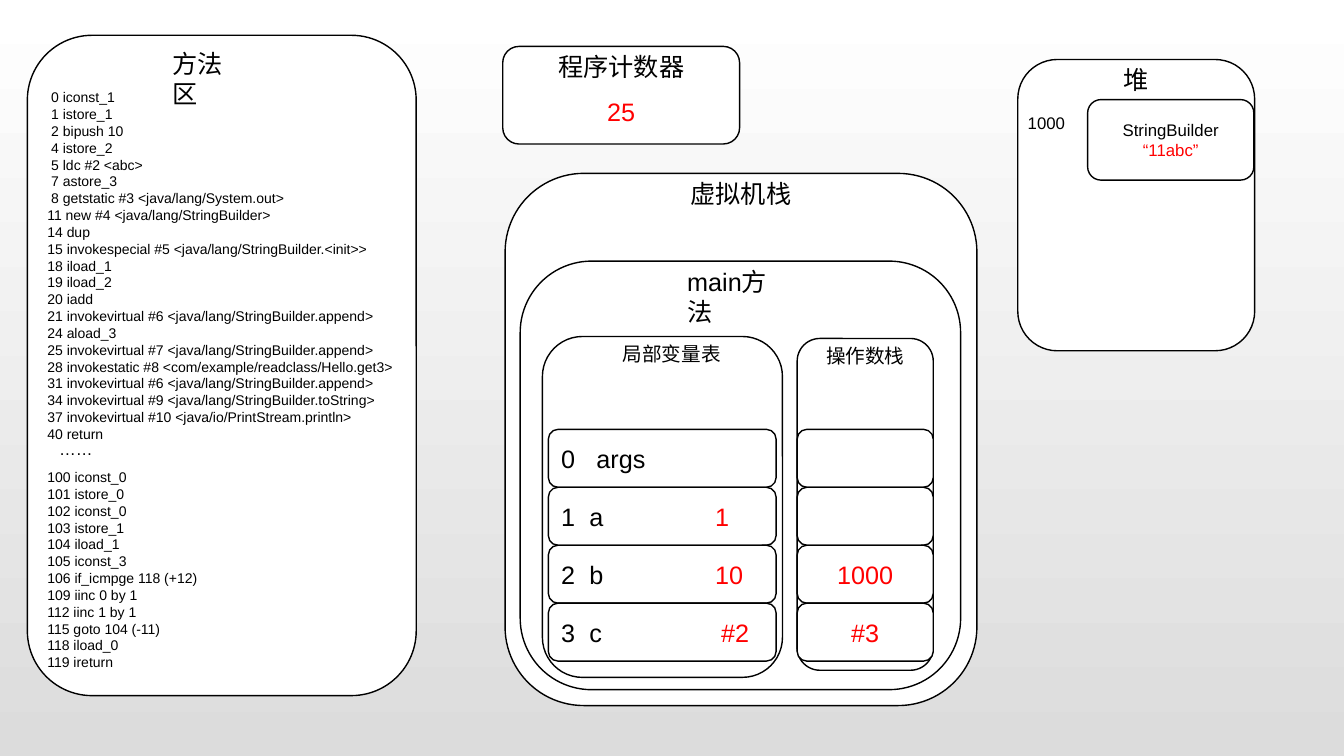
from dataclasses import dataclass

from lxml.etree import SubElement
from pptx import Presentation
from pptx.dml.color import RGBColor
from pptx.enum.shapes import MSO_SHAPE
from pptx.enum.text import MSO_ANCHOR, MSO_AUTO_SIZE, PP_ALIGN
from pptx.oxml.ns import qn
from pptx.util import Cm, Pt


@dataclass(frozen=True)
class Theme:
    black: RGBColor = RGBColor(0, 0, 0)
    red: RGBColor = RGBColor(255, 0, 0)
    white: RGBColor = RGBColor(255, 255, 255)
    shade: RGBColor = RGBColor(220, 220, 220)
    font: str = "Arial"
    heading: int = 18
    subheading: int = 14
    note: int = 12
    code: int = 10


theme = Theme()

MAIN_CODE = """ 0 iconst_1
 1 istore_1
 2 bipush 10
 4 istore_2
 5 ldc #2 <abc>
 7 astore_3
 8 getstatic #3 <java/lang/System.out>
11 new #4 <java/lang/StringBuilder>
14 dup
15 invokespecial #5 <java/lang/StringBuilder.<init>>
18 iload_1
19 iload_2
20 iadd
21 invokevirtual #6 <java/lang/StringBuilder.append>
24 aload_3
25 invokevirtual #7 <java/lang/StringBuilder.append>
28 invokestatic #8 <com/example/readclass/Hello.get3>
31 invokevirtual #6 <java/lang/StringBuilder.append>
34 invokevirtual #9 <java/lang/StringBuilder.toString>
37 invokevirtual #10 <java/io/PrintStream.println>
40 return"""

GET3_CODE = """100 iconst_0
101 istore_0
102 iconst_0
103 istore_1
104 iload_1
105 iconst_3
106 if_icmpge 118 (+12)
109 iinc 0 by 1
112 iinc 1 by 1
115 goto 104 (-11)
118 iload_0
119 ireturn"""


def add_panel(page, left, top, width, height):
    panel = page.shapes.add_shape(
        MSO_SHAPE.ROUNDED_RECTANGLE, Cm(left), Cm(top), Cm(width), Cm(height)
    )
    panel.shadow.inherit = False
    panel.fill.solid()
    panel.fill.fore_color.rgb = theme.white
    panel.line.color.rgb = theme.black
    panel.line.width = Pt(1)
    return panel


def write(box, lines, size, align=PP_ALIGN.LEFT, anchor=MSO_ANCHOR.TOP, wrap=True):
    frame = box.text_frame
    frame.word_wrap = wrap
    frame.auto_size = MSO_AUTO_SIZE.NONE
    frame.vertical_anchor = anchor
    for index, spans in enumerate(lines):
        para = frame.add_paragraph() if index else frame.paragraphs[0]
        para.alignment = align
        para.space_before = Pt(0)
        for text, color in spans:
            span = para.add_run()
            span.text = text
            span.font.name = theme.font
            span.font.size = Pt(size)
            span.font.color.rgb = color


deck = Presentation()
deck.slide_width, deck.slide_height = Cm(33.87), Cm(19.05)
page = deck.slides.add_slide(deck.slide_layouts.get_by_name("Two Content"))

background = page.background.fill
background.gradient()
background.gradient_angle = 270
for stop, color in zip(background.gradient_stops, (theme.white, theme.shade)):
    stop.color.rgb = color

add_panel(page, 0.69, 0.89, 9.8, 16.64)

title, main_listing, get3_listing = list(page.placeholders)[:3]
for box, left, top, width, height in (
    (title, 4.09, 1.09, 2.41, 1.02),
    (main_listing, 0.94, 2.11, 9.25, 9.22),
    (get3_listing, 0.94, 11.68, 4.32, 5.38),
):
    box.left, box.top, box.width, box.height = Cm(left), Cm(top), Cm(width), Cm(height)
    page.shapes.element.append(box.element)

write(title, [[("方法区", theme.black)]], theme.heading, wrap=False)
for box, code, wrap in ((main_listing, MAIN_CODE, True), (get3_listing, GET3_CODE, False)):
    lines = [[(line, theme.black)] for line in code.split("\n")]
    write(box, lines, theme.code, wrap=wrap)
    for para in box.text_frame.paragraphs:
        properties = para._p.get_or_add_pPr()
        properties.set("marL", "0")
        properties.set("indent", "0")
        SubElement(properties, qn("a:buNone"))

counter = add_panel(page, 12.67, 1.17, 5.97, 2.46)
write(counter, [[("25", theme.red)]], theme.heading, PP_ALIGN.CENTER, MSO_ANCHOR.BOTTOM)
counter.text_frame.margin_bottom = Cm(0.33)

for area in (
    (12.73, 4.37, 11.89, 13.41),
    (13.11, 6.58, 11.1, 10.8),
    (13.67, 8.48, 6.05, 8.59),
    (20.09, 8.53, 3.43, 8.36),
    (25.65, 1.5, 5.97, 7.34),
):
    add_panel(page, *area)

slots = (
    ("0", "args", "", 0.89, 3.88, ""),
    ("1", "a", "1", 0.71, 3.88, ""),
    ("2", "b", "10", 0.71, 3.88, "1000"),
    ("3", "c", "#2", 0.71, 4.03, "#3"),
)
for row, (number, name, value, name_tab, value_tab, operand) in enumerate(slots):
    top = 10.82 + row * 1.46
    variable = add_panel(page, 13.82, top, 5.74, 1.46)
    spans = [(f"{number}\t{name}", theme.black)]
    if value:
        spans.append((f"\t{value}", theme.red))
    write(variable, [spans], theme.heading, anchor=MSO_ANCHOR.MIDDLE)
    properties = variable.text_frame.paragraphs[0]._p.get_or_add_pPr()
    tabs = SubElement(properties, qn("a:tabLst"))
    for position in (name_tab, value_tab):
        SubElement(tabs, qn("a:tab"), pos=str(int(Cm(position))), algn="l")

    cell = add_panel(page, 20.09, top, 3.43, 1.46)
    if operand:
        write(cell, [[(operand, theme.red)]], theme.heading, PP_ALIGN.CENTER, MSO_ANCHOR.MIDDLE)

builder = add_panel(page, 27.41, 2.51, 4.19, 2.03)
builder_lines = [[("StringBuilder", theme.black)], [("“11abc”", theme.red)]]
write(builder, builder_lines, theme.note, PP_ALIGN.CENTER, MSO_ANCHOR.MIDDLE)

for text, size, left, top, width, height, wrap in (
    ("……", theme.note, 1.24, 10.92, 1.35, 0.76, False),
    ("程序计数器", theme.heading, 13.82, 1.17, 3.68, 1.02, False),
    ("虚拟机栈", theme.heading, 17.15, 4.37, 3.05, 1.02, False),
    ("main方法", theme.heading, 17.07, 6.58, 2.95, 1.02, True),
    ("局部变量表", theme.subheading, 15.44, 8.48, 2.97, 0.86, False),
    ("操作数栈", theme.subheading, 20.57, 8.53, 2.49, 0.86, False),
    ("堆", theme.heading, 28.07, 1.5, 1.14, 1.02, False),
    ("1000", theme.note, 25.65, 2.72, 1.45, 0.76, False),
):
    label = page.shapes.add_textbox(Cm(left), Cm(top), Cm(width), Cm(height))
    write(label, [[(text, theme.black)]], size, wrap=wrap)

deck.save("out.pptx")
